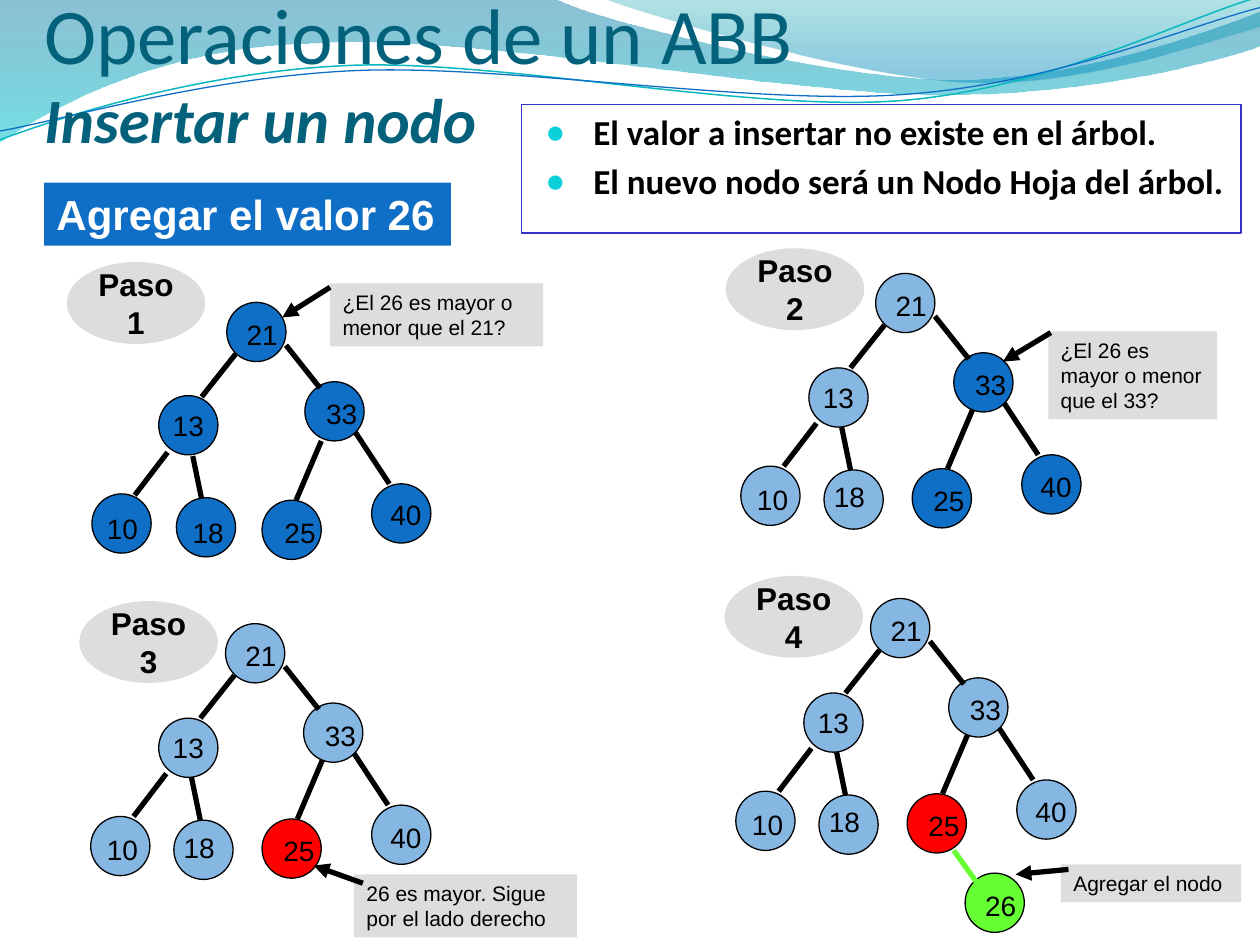
import math

from lxml import etree
from pptx import Presentation
from pptx.dml.color import RGBColor
from pptx.enum import shapes, text
from pptx.oxml.ns import qn
from pptx.util import Inches, Pt

BLUE, BLACK, GREY, RED, GREEN = "0F6FC6", "000000", "DDDDDD", "FF0000", "66FF33"
NODE = 0.47
ALL = {21, 13, 33, 10, 18, 25, 40}

# value: node offset from the root, label offset from the node, label width
# (13 carries its label inside the node)
TREE = {
    21: ((0, 0), (0.06, 0.07), 0.47),
    13: ((-0.53, 0.75), None, None),
    33: ((0.62, 0.63), (0.07, 0.07), 0.6),
    10: ((-1.07, 1.53), (0.03, 0.08), 0.54),
    18: ((-0.41, 1.56), (-0.02, 0.03), 0.54),
    25: ((0.29, 1.55), (0.07, 0.07), 0.54),
    40: ((1.16, 1.44), (0.05, 0.07), 0.47),
}
EDGES = {  # by child, offsets from the root
    13: ((0.07, 0.41), (-0.2, 0.75)), 10: ((-0.47, 1.19), (-0.73, 1.53)),
    33: ((0.47, 0.34), (0.74, 0.68)), 40: ((1.02, 1.03), (1.29, 1.44)),
    18: ((-0.27, 1.22), (-0.2, 1.56)), 25: ((0.77, 1.08), (0.57, 1.55)),
}
NEW_NODE = {26: ((0.75, 2.18), (0.06, 0.07), 0.47)}
NEW_EDGE = {26: ((0.66, 2), (0.89, 2.32))}

STEPS = [
    dict(root=(1.8, 2.4), badge=(0.53, 2.08), active=ALL, found=set(), group=True,
         note="¿El 26 es mayor o menor que el 21?", box=(2.62, 2.25, 1.69, 0.5),
         arrow=((2.62, 2.28), (2.24, 2.52)),
         nodes={13: ((-0.54, 0.74), None, None),
                10: ((-1.07, 1.52), (0.02, 0.09), 0.54),
                18: ((-0.4, 1.55), (0.03, 0.09), 0.54),
                25: ((0.28, 1.57), (0.08, 0.07), 0.54),
                40: ((1.15, 1.44), (0.05, 0.06), 0.47)},
         edges={25: ((0.75, 1.1), (0.55, 1.57))}),
    dict(root=(6.95, 2.17), badge=(5.76, 1.97), active={33, 25, 40}, found=set(),
         note="¿El 26 es mayor o menor que el 33?", box=(8.32, 2.63, 1.34, 0.7),
         arrow=((8.34, 2.64), (7.96, 2.87))),
    dict(root=(1.79, 4.95), badge=(0.63, 4.77), active=set(), found={25},
         note="26 es mayor. Sigue por el lado derecho", box=(2.81, 6.94, 1.77, 0.5),
         arrow=((2.88, 7.01), (2.49, 6.87))),
    dict(root=(6.91, 4.75), badge=(5.75, 4.57), active=set(), found={25}, insert=True,
         note="Agregar el nodo", box=(8.42, 6.86, 1.43, 0.3),
         arrow=((8.48, 6.9), (8.06, 6.94))),
]
RULES = ["El valor a insertar no existe en el árbol.",
         "El nuevo nodo será un Nodo Hoja del árbol."]

# Box, then start point, pairs for lines and sextuples for cubic curves
BANDS = [
    ((-0.01, -0.01, 10.02, 1.14),
     [(0, 0), (4.4, -0.01), (4.76, 0.17, 6.64, 0.63, 7.58, 0.63),
      (8.53, 0.63, 9.58, 0.26, 10, 0.09), (10.01, 0.36),
      (9.83, 0.44, 8.7, 0.76, 7.46, 0.75), (6.22, 0.75, 3.82, 0.28, 2.57, 0.34),
      (1.29, 0.36, 0.46, 0.83, -0.01, 1.13), (0, 0)],
     [(0, "0074A1", 45), (1, "00C6CF", 55)]),
    ((4.79, -0.01, 5.21, 0.7),
     [(4.79, -0.01), (5.09, 0.11, 6.82, 0.62, 7.69, 0.65),
      (8.56, 0.69, 9.61, 0.32, 10, 0.21), (10, 0), (4.79, -0.01)],
     [(0, "00A1A9", 30), (0.8, "008BBF", 45)]),
]
WAVE_TURN = -2.7
WAVES = [
    ((-0.02, 0.22, 10.02, 0.71),
     [(0, 1.11), (0.48, 0.93, 1.58, 0.57, 2.77, 0.52),
      (3.95, 0.47, 5.93, 0.89, 7.13, 0.8), (8.33, 0.71, 9.38, 0.15, 9.98, -0.02)],
     "0AB8BF", 0.85),
    ((-0.02, 0.3, 10.03, 0.58),
     [(0, 1.04), (0.47, 0.96, 1.64, 0.61, 2.83, 0.56),
      (4.03, 0.51, 5.97, 0.84, 7.17, 0.75), (8.36, 0.67, 9.41, 0.21, 10, 0.06)],
     BLUE, 0.75),
]


def rgb(value):
    return RGBColor.from_string(value)


def sub(parent, tag, **attrs):
    return etree.SubElement(parent, qn(tag), attrs)


def set_alpha(parent, percent):
    for clr in parent.iter(qn("a:srgbClr")):
        sub(clr, "a:alpha", val=str(percent * 1000))


def shift(origin, offset):
    return origin[0] + offset[0], origin[1] + offset[1]


def style(sp, fill=None, line=None, width=0.75, alpha=None):
    sp.shadow.inherit = False
    if fill:
        sp.fill.solid()
        sp.fill.fore_color.rgb = rgb(fill)
        if alpha:
            set_alpha(sp.fill._xPr, alpha)
    else:
        sp.fill.background()
    if line:
        sp.line.color.rgb = rgb(line)
        sp.line.width = Pt(width)
    else:
        sp.line.fill.background()


def add_run(p, words, size, color=BLACK, name="Arial", **fmt):
    r = p.add_run()
    r.text = words
    r.font.color.rgb = rgb(color)
    for key, value in dict(size=Pt(size), name=name, **fmt).items():
        setattr(r.font, key, value)


def write(sp, lines, size, anchor="TOP", align="LEFT", wrap=True, grow=False, **fmt):
    tf = sp.text_frame
    tf.word_wrap = wrap
    tf.vertical_anchor = text.MSO_ANCHOR[anchor]
    if grow:
        tf.auto_size = text.MSO_AUTO_SIZE.SHAPE_TO_FIT_TEXT
    for i, words in enumerate(lines):
        p = tf.add_paragraph() if i else tf.paragraphs[0]
        p.alignment = text.PP_ALIGN[align]
        add_run(p, words, size, **fmt)


def add_box(s, kind, box, **look):
    sp = s.shapes.add_shape(shapes.MSO_SHAPE[kind], *map(Inches, box))
    style(sp, **look)
    return sp


def add_line(s, ends, color=BLACK, arrow=False):
    (x1, y1), (x2, y2) = ends
    c = s.shapes.add_connector(shapes.MSO_CONNECTOR.STRAIGHT,
                               *map(Inches, (x1, y1, x2, y2)))
    c.line.color.rgb = rgb(color)
    c.line.width = Pt(3)
    if arrow:
        sub(c.line._get_or_add_ln(), "a:tailEnd", type="triangle")
    sub(c._element.spPr, "a:effectLst")


def add_outline(s, box, segments, close=False, turn=0):
    """Add a freeform with true curves; segments show it after its turn."""
    x, y, w, h = box
    cx, cy = x + w / 2, y + h / 2
    cos, sin = math.cos(math.radians(-turn)), math.sin(math.radians(-turn))
    builder = s.shapes.build_freeform(Inches(x), Inches(y))
    builder.add_line_segments([(Inches(x + w), Inches(y + h))], close=close)
    sp = builder.convert_to_shape()
    sp.rotation = turn
    outline = next(sp._element.iter(qn("a:path")))
    for old in list(outline):
        outline.remove(old)
    for i, seg in enumerate(segments):
        tag = "a:cubicBezTo" if len(seg) == 6 else "a:lnTo" if i else "a:moveTo"
        move = sub(outline, tag)
        for px, py in zip(seg[::2], seg[1::2]):
            dx, dy = px - cx, py - cy
            sub(move, "a:pt", x=str(Inches(w / 2 + dx * cos - dy * sin)),
                y=str(Inches(h / 2 + dx * sin + dy * cos)))
    if close:
        sub(outline, "a:close")
    return sp


def add_background(s):
    for box, segments, stops in BANDS:
        sp = add_outline(s, box, segments, close=True)
        style(sp)
        sp.fill.gradient()
        sp.fill.gradient_angle = 270
        for stop, (pos, color, alpha) in zip(sp.fill.gradient_stops, stops):
            stop.position = pos
            stop.color.rgb = rgb(color)
            set_alpha(stop._gs, alpha)
    group = s.shapes.add_group_shape()
    for box, segments, color, width in WAVES:
        style(add_outline(group, box, segments, turn=WAVE_TURN), line=color, width=width)


def add_nodes(s, root, nodes, edges, looks, edge_color=BLACK):
    for value, (offset, label, _) in nodes.items():
        sp = add_box(s, "OVAL", (*shift(root, offset), NODE, NODE),
                     line=BLACK, **looks[value])
        if not label:
            write(sp, [str(value)], 16, "MIDDLE", "CENTER", wrap=False)
    for ends in edges.values():
        add_line(s, [shift(root, end) for end in ends], edge_color)
    for value, (offset, label, width) in nodes.items():
        if label:
            at = shift(shift(root, offset), label)
            tb = s.shapes.add_textbox(*map(Inches, (*at, width, 0.37)))
            write(tb, [str(value)], 16, grow=True)


def add_step(s, number, step):
    looks = {v: dict(fill=RED) if v in step["found"] else
             dict(fill=BLUE, alpha=None if v in step["active"] else 50) for v in TREE}
    holder = s.shapes.add_group_shape() if step.get("group") else s
    add_nodes(holder, step["root"], {**TREE, **step.get("nodes", {})},
              {**EDGES, **step.get("edges", {})}, looks)
    if step.get("insert"):
        add_nodes(s, step["root"], NEW_NODE, NEW_EDGE, {26: dict(fill=GREEN)}, GREEN)
    note = add_box(s, "RECTANGLE", step["box"], fill=GREY)
    write(note, [step["note"]], 12, grow=True)
    add_line(s, step["arrow"], arrow=True)
    badge = add_box(s, "OVAL", (*step["badge"], 1.1, 0.65), fill=GREY)
    write(badge, ["Paso", str(number)], 18, "MIDDLE", "CENTER", wrap=False, bold=True)


def add_rules(s):
    sp = add_box(s, "RECTANGLE", (4.14, 0.83, 5.71, 1.02), line="3333CC")
    write(sp, RULES, 20, name="Calibri", bold=True)
    for p in sp.text_frame.paragraphs:
        p.space_before = Pt(4)
        pPr = p._p.get_or_add_pPr()
        pPr.set("marL", str(Inches(0.47)))
        pPr.set("indent", str(Inches(-0.38)))
        sub(sub(pPr, "a:buClr"), "a:srgbClr", val="0BD0D9")
        sub(pPr, "a:buSzPct", val="95000")
        sub(pPr, "a:buFont", typeface="Arial")
        sub(pPr, "a:buChar", char="●")


def add_title(s):
    tf = s.shapes.add_textbox(*map(Inches, (0.35, -0.01, 9, 1.25))).text_frame
    tf.word_wrap = True
    tf.vertical_anchor = text.MSO_ANCHOR.BOTTOM
    tf.margin_left = tf.margin_right = tf.margin_bottom = 0
    p = tf.paragraphs[0]
    look = dict(color="04617B", name="Calibri")
    add_run(p, "Operaciones de un ABB", 45, **look)
    p.add_line_break()
    add_run(p, "Insertar un nodo", 36, bold=True, italic=True, **look)


prs = Presentation()
prs.slide_width, prs.slide_height = Inches(10), Inches(7.5)
s = prs.slides.add_slide(prs.slide_layouts[6])
add_background(s)
for number, step in enumerate(STEPS, 1):
    add_step(s, number, step)
task = add_box(s, "RECTANGLE", (0.35, 1.45, 3.23, 0.5), fill=BLUE)
write(task, ["Agregar el valor 26"], 24, wrap=False, grow=True, color="FFFFFF", bold=True)
add_rules(s)
add_title(s)
prs.save("out.pptx")
